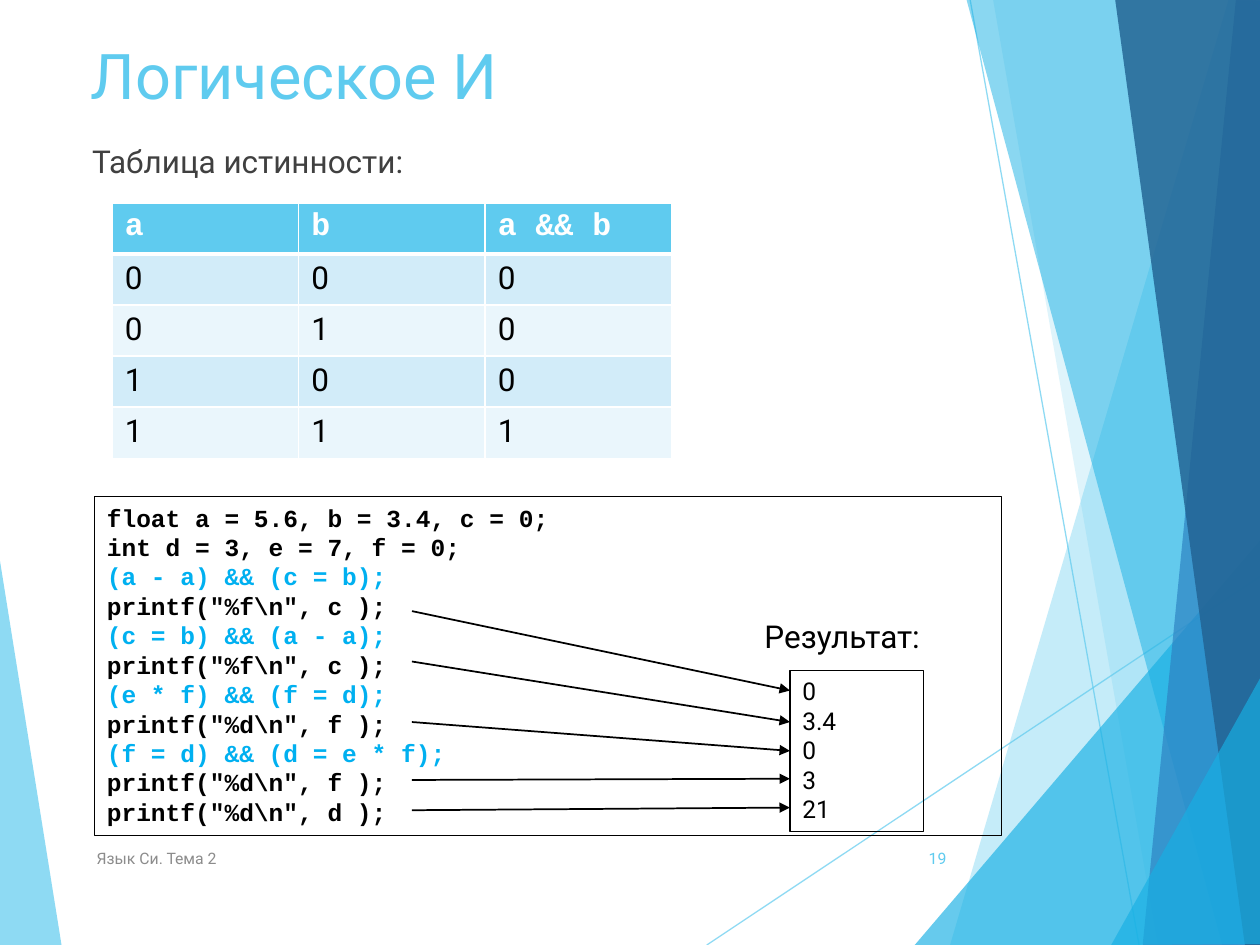
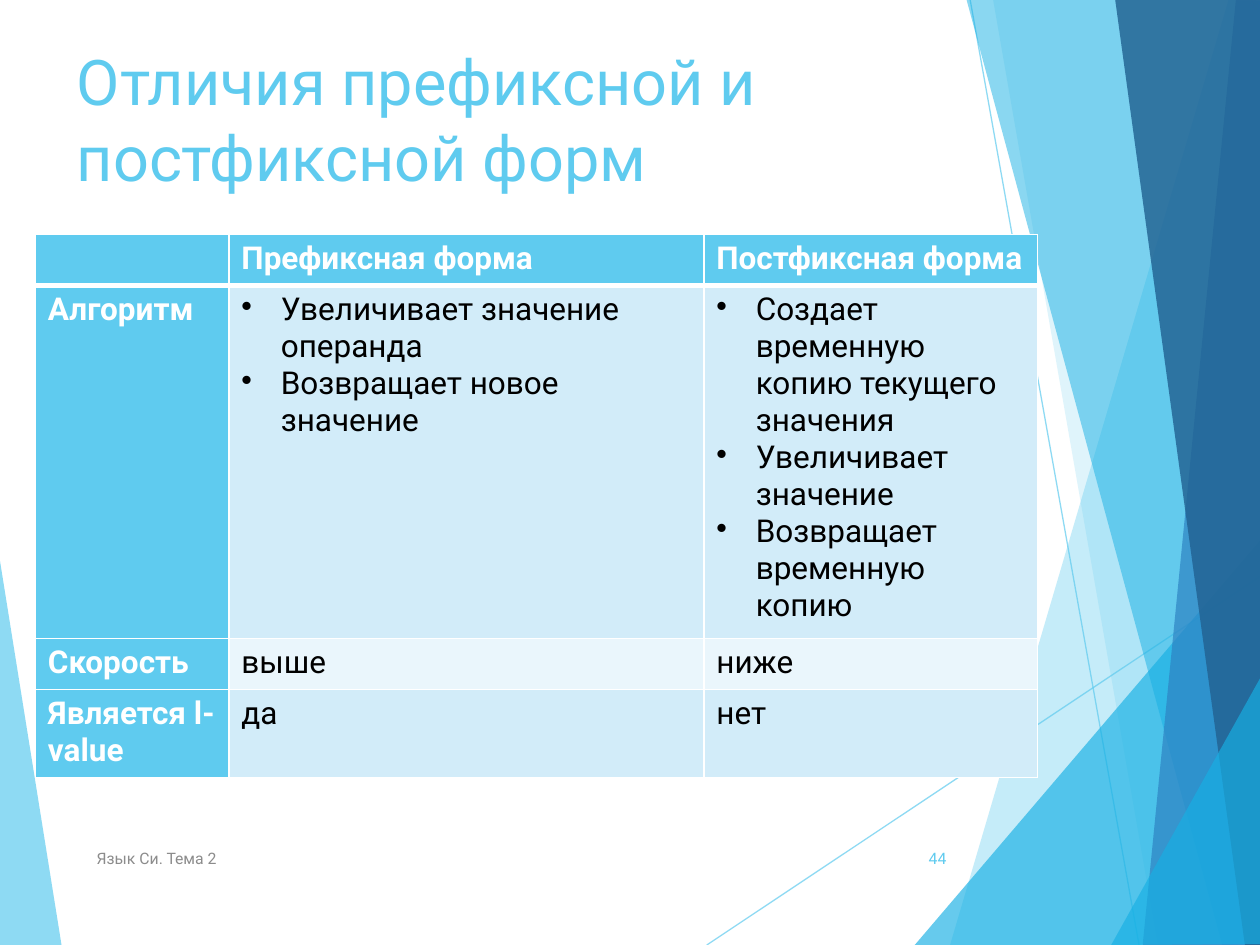
"""Build two slides on the C language: logical AND, and prefix versus postfix forms."""
import pptx
import pptx.util
import pptx.dml.color
import pptx.enum.shapes
import pptx.enum.text
import pptx.oxml
import pptx.oxml.ns

Pt = pptx.util.Pt
ALIGN = pptx.enum.text.PP_ALIGN
ANCHOR = pptx.enum.text.MSO_ANCHOR
FONT, CODE_FONT = "Roboto", "Courier New"
COLOURS = {
    "sky": "5FCBEF", "cyan": "17B0E4", "blue": "2E83C3", "navy": "226292",
    "band": "D2ECF9", "pale": "EAF6FC", "white": "FFFFFF", "black": "000000",
    "body": "404040", "footer": "8C8C8C", "code": "00B0F0",
}

RIBBONS = [
    ("sky", 70, [(-0.7, 316), (35.3, 540.7), (-0.7, 540)]),
    ("sky", 36, [(702, 0), (542.9, 540), (721.4, 540.7), (720.7, 0.7)]),
    ("sky", 20, [(567.4, -0.7), (661.7, 540), (720.7, 540), (720.7, -0.7)]),
    ("cyan", 66, [(522.7, 540), (720, 308.9), (720.7, 540)]),
    ("cyan", 50, [(552.2, -0.7), (698.4, 540), (720.7, 539.3), (720.7, -0.7)]),
    ("blue", 70, [(706.3, -0.7), (653, 540), (720.7, 540), (720, -0.7)]),
    ("navy", 82, [(637.2, -0.7), (711.4, 540), (721.4, 540), (720, -0.7)]),
    ("cyan", 66, [(635, 540), (721.4, 385.2), (721.4, 539.3)]),
]
RAYS = [((403.9, 540), (720.7, 329)), ((554.4, 0), (650.9, 540))]

FOOTER = "Язык Си. Тема 2"
AND_TITLE = "Логическое И"
AND_LEAD = "Таблица истинности:"
TRUTH_TABLE = [
    ["a", "b", "a && b"],
    ["0", "0", "0"],
    ["0", "1", "0"],
    ["1", "0", "0"],
    ["1", "1", "1"],
]
CODE = [
    "float a = 5.6, b = 3.4, c = 0;",
    "int d = 3, e = 7, f = 0;",
    "(a - a) && (c = b);",
    'printf("%f\\n", c );',
    "(c = b) && (a - a);",
    'printf("%f\\n", c );',
    "(e * f) && (f = d);",
    'printf("%d\\n", f );',
    "(f = d) && (d = e * f);",
    'printf("%d\\n", f );',
    'printf("%d\\n", d );',
]
RESULT_LABEL = "Результат:"
RESULTS = ["0", "3.4", "0", "3", "21"]
ARROW_HEIGHTS = [(349.2, 394.6), (378, 412.6), (412.6, 429.1), (445.7, 445), (463, 461.5)]

FORMS_TITLE = "Отличия префиксной и постфиксной форм"
FORMS_TABLE = [
    ["", "Префиксная форма", "Постфиксная форма"],
    ["Алгоритм",
     ["Увеличивает значение операнда", "Возвращает новое значение"],
     ["Создает временную копию текущего значения", "Увеличивает значение",
      "Возвращает временную копию"]],
    ["Скорость", "выше", "ниже"],
    ["Является l-value", "да", "нет"],
]


def rgb(name):
    return pptx.dml.color.RGBColor.from_string(COLOURS[name])


def assign(target, values):
    for name, value in values.items():
        setattr(target, name, value)


def place(shape, left, top, width, height):
    assign(shape, {"left": Pt(left), "top": Pt(top), "width": Pt(width), "height": Pt(height)})


def add_xml(parent, markup, index=None):
    namespaces = pptx.oxml.ns.nsdecls("a")
    child = pptx.oxml.parse_xml(markup.replace(" ", f" {namespaces} ", 1))
    parent.insert(len(parent) if index is None else index, child)


def set_bullet(para, markup, margin=0, indent=0):
    properties = para._p.get_or_add_pPr()
    properties.set("marL", str(Pt(margin)))
    properties.set("indent", str(Pt(indent)))
    add_xml(properties, markup)


def write(frame, lines, size, colour="black", font=FONT, bold=False,
          align=ALIGN.LEFT, anchor=ANCHOR.TOP, spacing=None, bullets=False):
    assign(frame, {"word_wrap": True, "vertical_anchor": anchor})
    for index, line in enumerate(lines):
        para = frame.paragraphs[0] if index == 0 else frame.add_paragraph()
        assign(para, {"alignment": align, "space_before": Pt(0), "line_spacing": spacing})
        if bullets:
            set_bullet(para, '<a:buChar char="•"/>', 22.5, -22.5)
        span = para.add_run()
        span.text = line
        assign(span.font, {"size": Pt(size), "name": font, "bold": bold})
        line_colour = colour(line) if callable(colour) else colour
        span.font.color.rgb = rgb(line_colour)


def add_text(page, bounds, lines, size, **options):
    box = page.shapes.add_textbox(0, 0, 0, 0)
    place(box, *bounds)
    write(box.text_frame, lines, size, **options)


def add_frame(page, bounds, lines, **options):
    box = page.shapes.add_shape(pptx.enum.shapes.MSO_SHAPE.RECTANGLE, 0, 0, 0, 0)
    place(box, *bounds)
    box.shadow.inherit = False
    box.fill.background()
    box.line.color.rgb = rgb("black")
    box.line.width = Pt(0.75)
    write(box.text_frame, lines, 14, spacing=Pt(16.8), **options)


def add_line(page, start, end, colour, width):
    line = page.shapes.add_connector(
        pptx.enum.shapes.MSO_CONNECTOR.STRAIGHT, *map(Pt, start + end))
    line.line.color.rgb = rgb(colour)
    line.line.width = Pt(width)
    add_xml(line.element.spPr, "<a:effectLst />")
    return line


def set_opacity(shape, percent):
    for colour in shape.element.xpath(".//a:solidFill/a:srgbClr"):
        add_xml(colour, f'<a:alpha val="{percent * 1000}"/>')


def add_ribbon(page, colour, opacity, points):
    corners = [(Pt(x), Pt(y)) for x, y in points]
    builder = page.shapes.build_freeform(*corners[0])
    builder.add_line_segments(corners[1:], close=True)
    ribbon = builder.convert_to_shape()
    ribbon.shadow.inherit = False
    ribbon.fill.solid()
    ribbon.fill.fore_color.rgb = rgb(colour)
    ribbon.line.fill.background()
    set_opacity(ribbon, opacity)
    return ribbon


def decorate_master(deck, page):
    decor = [add_ribbon(page, *RIBBONS[0])]
    for start, end in RAYS:
        ray = add_line(page, start, end, "sky", 0.75)
        set_opacity(ray, 70)
        decor.append(ray)
    decor += [add_ribbon(page, *ribbon) for ribbon in RIBBONS[1:]]
    tree = deck.slide_master.shapes.element
    for index, shape in enumerate(decor):
        shape.element.xpath(".//p:cNvPr")[0].set("id", str(100 + index))
        tree.insert(2 + index, shape.element)


def border_cell(cell, bottom_width):
    properties = cell._tc.get_or_add_tcPr()
    for index, side in enumerate("LRTB"):
        width = Pt(bottom_width if side == "B" else 1)
        add_xml(properties, f'<a:ln{side} w="{width}"><a:solidFill><a:srgbClr '
                f'val="{COLOURS["white"]}"/></a:solidFill></a:ln{side}>', index)


def add_grid(page, left, top, widths, heights, rows, header_font=FONT, header_column=False):
    table = page.shapes.add_table(
        len(rows), len(widths), Pt(left), Pt(top), Pt(sum(widths)), Pt(sum(heights))).table
    for column, width in zip(table.columns, widths):
        column.width = Pt(width)
    for row_index, values in enumerate(rows):
        table.rows[row_index].height = Pt(heights[row_index])
        for column_index, value in enumerate(values):
            cell = table.cell(row_index, column_index)
            top_row = row_index == 0
            heading = top_row or (header_column and column_index == 0)
            cell.fill.solid()
            cell.fill.fore_color.rgb = rgb(
                "sky" if heading else "band" if row_index % 2 else "pale")
            border_cell(cell, 3 if top_row else 1)
            if value:
                bulleted = isinstance(value, list)
                write(cell.text_frame, value if bulleted else [value], 18,
                      colour="white" if heading else "black", bold=heading,
                      font=header_font if top_row else FONT, bullets=bulleted)


def add_page(deck, layout, title, left, top, number):
    page = deck.slides.add_slide(deck.slide_layouts[layout])
    place(page.shapes.title, left, top, 499.7, 103.7)
    write(page.shapes.title.text_frame, [title], 36, colour="sky")
    add_text(page, (48.2, 475.9, 364.3, 28.8), [FOOTER], 9,
             colour="footer", anchor=ANCHOR.MIDDLE)
    add_text(page, (507.6, 475.9, 40.3, 28.8), [str(number)], 9,
             colour="sky", align=ALIGN.RIGHT, anchor=ANCHOR.MIDDLE)
    return page


def build_and_page(deck):
    page = add_page(deck, 1, AND_TITLE, 44.6, 17.3, 19)
    decorate_master(deck, page)
    lead = page.placeholders[1]
    place(lead, 45.4, 77.8, 498.2, 37.4)
    write(lead.text_frame, [AND_LEAD], 18, colour="body")
    set_bullet(lead.text_frame.paragraphs[0], "<a:buNone />")
    add_grid(page, 64.1, 115.9, [106.6] * 3, [29.2] * 5, TRUTH_TABLE, header_font=CODE_FONT)
    add_frame(page, (54, 283.7, 518.4, 193.7), CODE, font=CODE_FONT, bold=True,
              colour=lambda line: "code" if line.startswith("(") else "black")
    add_text(page, (429.8, 349.2, 113, 28.8), [RESULT_LABEL], 18)
    add_frame(page, (451.4, 383, 76.3, 92.2), RESULTS)
    for start, end in ARROW_HEIGHTS:
        arrow = add_line(page, (235.4, start), (451.4, end), "black", 1)
        add_xml(arrow.line._get_or_add_ln(), '<a:tailEnd type="triangle"/>')


def build_forms_page(deck):
    page = add_page(deck, 5, FORMS_TITLE, 36.7, 20.9, 44)
    add_grid(page, 20.2, 133.9, [110.6, 271.4, 190.8], [29.2, 197, 29.2, 49.4],
             FORMS_TABLE, header_column=True)


def main():
    deck = pptx.Presentation()
    assign(deck, {"slide_width": Pt(720), "slide_height": Pt(540)})
    build_and_page(deck)
    build_forms_page(deck)
    deck.save("out.pptx")


if __name__ == "__main__":
    main()
